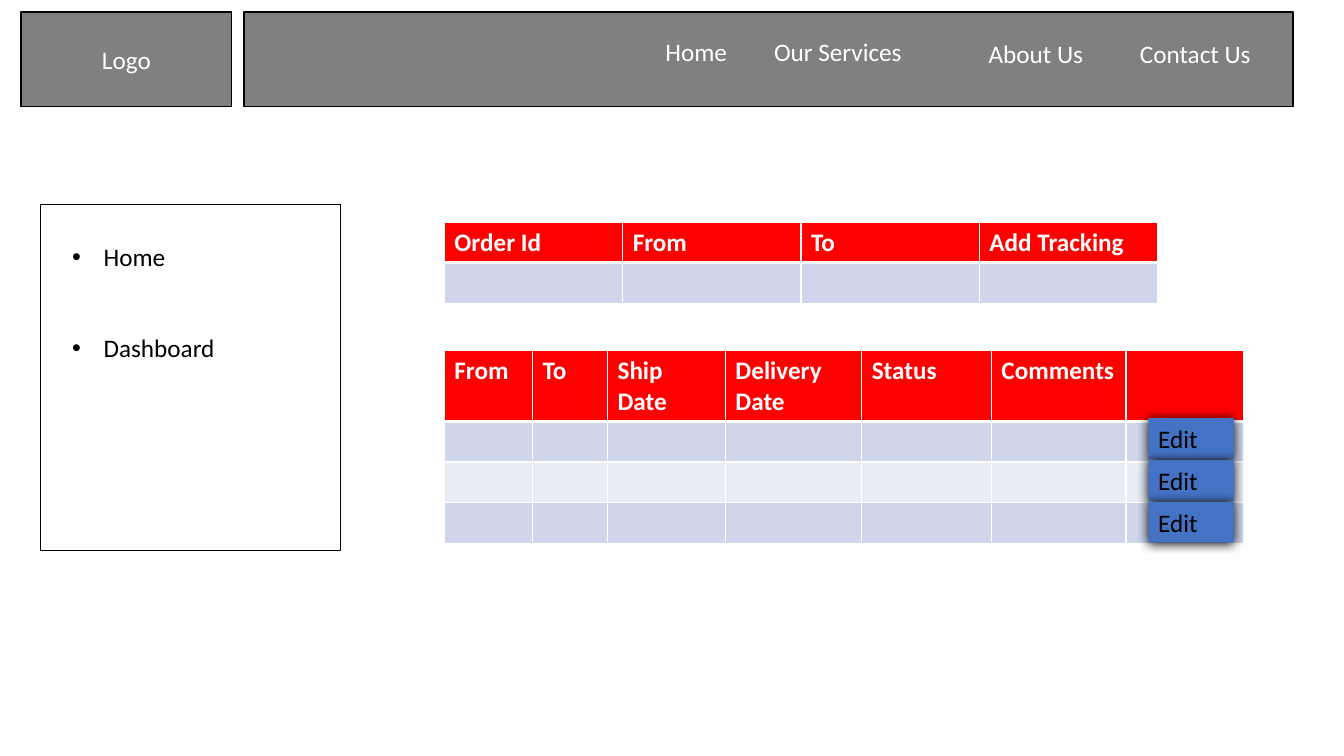
import pptx
import pptx.util
import pptx.dml.color
import pptx.enum.shapes
import pptx.enum.text
import pptx.oxml
import pptx.oxml.ns

Pt = pptx.util.Pt
Color = pptx.dml.color.RGBColor.from_string
Align = pptx.enum.text.PP_ALIGN
Anchor = pptx.enum.text.MSO_ANCHOR
namespace = pptx.oxml.ns.nsdecls("a")

theme = {
    "font": "Calibri", "size": 18,
    "white": "FFFFFF", "black": "000000", "bar": "808080",
    "header": "FF0000", "bands": ["CFD5EA", "E9EBF5"], "button": "4472C4",
}

deck = pptx.Presentation()
deck.slide_width = Pt(960)
deck.slide_height = Pt(540)
page = deck.slides.add_slide(deck.slide_layouts[6])


def write(para, text, color, bold=False):
    span = para.add_run()
    span.text = text
    styles = {"name": theme["font"], "size": Pt(theme["size"]), "bold": bold}
    for key, value in styles.items():
        setattr(span.font, key, value)
    span.font.color.rgb = Color(color)


def add_box(left, top, width, height, fill=None, line=None):
    box = page.shapes.add_shape(
        pptx.enum.shapes.MSO_SHAPE.RECTANGLE, Pt(left), Pt(top), Pt(width), Pt(height))
    box.shadow.inherit = False
    if fill:
        box.fill.solid()
        box.fill.fore_color.rgb = Color(fill)
    else:
        box.fill.background()
    if line:
        box.line.color.rgb = Color(theme["black"])
        box.line.width = Pt(line)
    else:
        box.line.fill.background()
    frame = box.text_frame
    settings = {"word_wrap": True, "vertical_anchor": Anchor.TOP}
    for key, value in settings.items():
        setattr(frame, key, value)
    frame.paragraphs[0].alignment = Align.LEFT
    return box


logo = add_box(15, 8.6, 150.6, 67.6, theme["bar"], 1)
logo.text_frame.vertical_anchor = Anchor.MIDDLE
logo.text_frame.paragraphs[0].alignment = Align.CENTER
write(logo.text_frame.paragraphs[0], "Logo", theme["white"])
add_box(174.2, 8.6, 749.4, 67.6, theme["bar"], 1)

navigation = [
    ("Home", 468.2, 22.6, 65.5),
    ("Our Services", 545.8, 22.6, 113.8),
    ("About Us", 699.1, 24, 108.7),
    ("Contact Us", 807.1, 24, 108.7),
]
for label, left, top, width in navigation:
    link = page.shapes.add_textbox(Pt(left), Pt(top), Pt(width), Pt(29))
    link.text_frame.word_wrap = True
    write(link.text_frame.paragraphs[0], label, theme["white"])

add_box(28.8, 146.2, 214.2, 247, line=0.75)
menu = page.shapes.add_textbox(Pt(44.4), Pt(168.8), Pt(171.4), Pt(94.3))
menu.text_frame.word_wrap = True
for index, label in enumerate(["Home", "Dashboard"]):
    para = menu.text_frame.add_paragraph() if index else menu.text_frame.paragraphs[0]
    para.space_before = Pt(43.6 * index)
    write(para, label, theme["black"])
    properties = para._p.get_or_add_pPr()
    properties.set("marL", str(Pt(22.5)))
    properties.set("indent", str(-Pt(22.5)))
    for tag, key, value in [("buFont", "typeface", "Arial"), ("buChar", "char", "•")]:
        properties.append(pptx.oxml.parse_xml(f'<a:{tag} {namespace} {key}="{value}"/>'))

row_height = 29
tables = [
    (158.6, row_height, 1, ["Order Id", "From", "To", "Add Tracking"], [127.4] * 4),
    (250.6, 50, 3,
     ["From", "To", "Ship Date", "Delivery Date", "Status", "Comments", ""],
     [63, 53.6, 84.2, 97.4, 92.6, 96.2, 84.2]),
]
for top, header_height, body_rows, headings, widths in tables:
    height = header_height + body_rows * row_height
    table = page.shapes.add_table(
        body_rows + 1, len(headings), Pt(317.4), Pt(top), Pt(sum(widths)), Pt(height)).table
    for column, width in zip(table.columns, widths):
        column.width = Pt(width)
    for index, row in enumerate(table.rows):
        row.height = Pt(row_height if index else header_height)
        for cell, heading in zip(row.cells, headings):
            cell.fill.solid()
            fill = theme["bands"][(index - 1) % 2] if index else theme["header"]
            cell.fill.fore_color.rgb = Color(fill)
            if index == 0:
                cell._tc.get_or_add_tcPr().insert(0, pptx.oxml.parse_xml(
                    f'<a:lnB {namespace} w="{Pt(3)}"><a:solidFill>'
                    f'<a:srgbClr val="{theme["white"]}"/></a:solidFill></a:lnB>'))
                if heading:
                    write(cell.text_frame.paragraphs[0], heading, theme["white"], True)

for index in range(3):
    button = add_box(820.2, 298.7 + 29.9 * index, 61.2, 29, theme["button"])
    write(button.text_frame.paragraphs[0], "Edit", theme["black"])
    effects = button._element.spPr.find(pptx.oxml.ns.qn("a:effectLst"))
    effects.append(pptx.oxml.parse_xml(
        f'<a:outerShdw {namespace} blurRad="{Pt(8.5)}" dist="{Pt(1)}" '
        f'dir="5400000" algn="ctr" rotWithShape="0"><a:srgbClr val="{theme["black"]}"/>'
        '</a:outerShdw>'))

deck.save("out.pptx")
